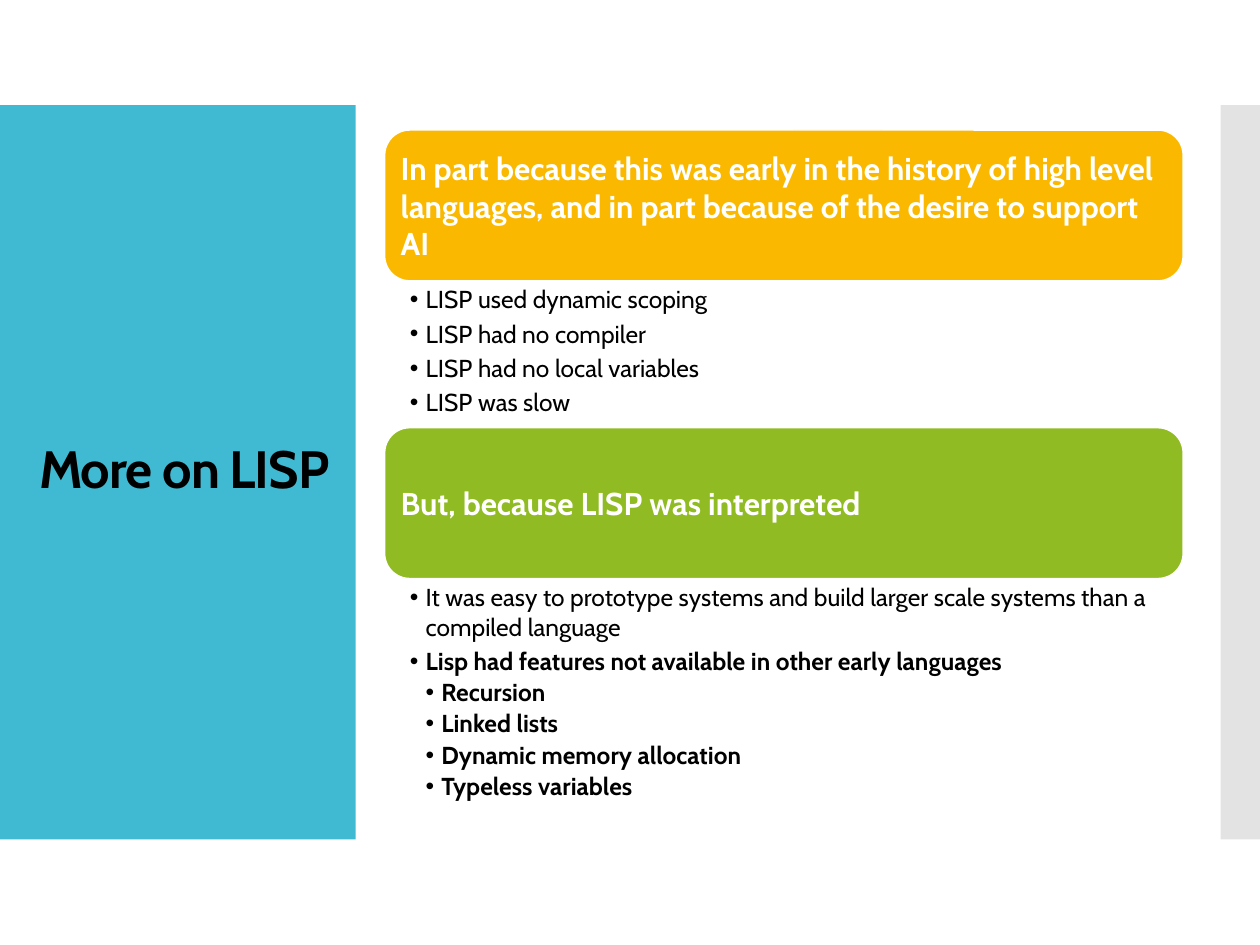
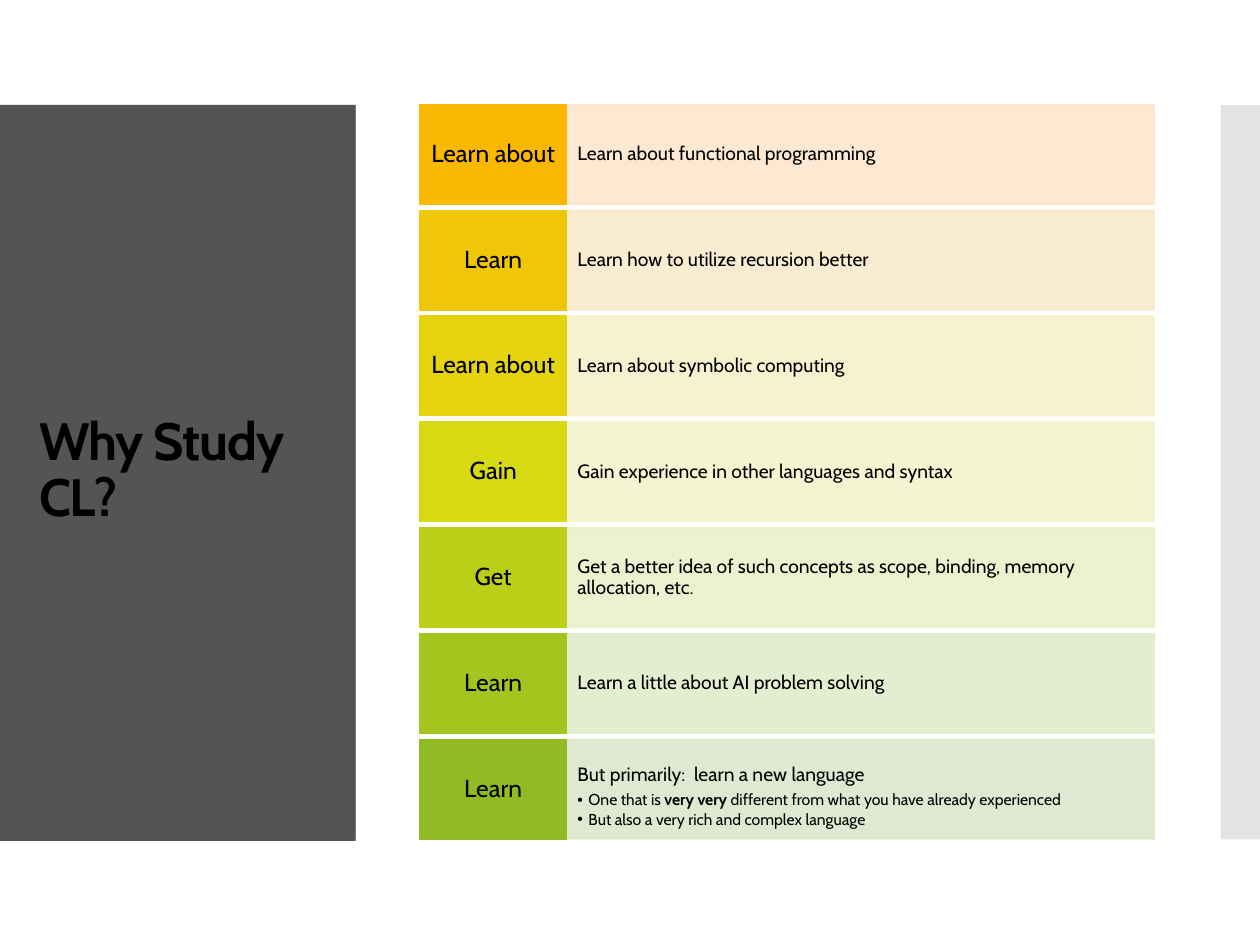
from dataclasses import dataclass

from lxml.etree import SubElement
from pptx import Presentation
from pptx.dml.color import RGBColor as RGB
from pptx.enum.shapes import MSO_SHAPE as Shape
from pptx.enum.text import MSO_ANCHOR as Anchor, MSO_AUTO_SIZE as AutoSize, PP_ALIGN as Align
from pptx.oxml.ns import qn
from pptx.util import Pt


@dataclass(frozen=True)
class Theme:
    font: str = "Cabin"
    text: str = "000000"
    light: str = "FFFFFF"
    accent: str = "40BAD2"
    side: str = "C8C8C8"
    panel: str = "545454"
    amber: str = "FAB900"
    green: str = "90BB23"
    title_size: float = 30
    heading_size: float = 18
    list_size: float = 14
    row_size: float = 11
    detail_size: float = 9
    edge: float = 0.85


T = Theme()


def add_box(s, kind, box, fill, line=None, alpha=None):
    """Add a filled shape; alpha is its opacity in percent."""
    sp = s.shapes.add_shape(kind, *map(Pt, box))
    sp.shadow.inherit = False
    sp.fill.solid()
    sp.fill.fore_color.rgb = RGB.from_string(fill)
    if line:
        sp.line.color.rgb = RGB.from_string(line)
        sp.line.width = Pt(T.edge)
    else:
        sp.line.fill.background()
    if alpha:
        for color in sp.element.iter(qn("a:srgbClr")):
            SubElement(color, qn("a:alpha"), val=str(alpha * 1000))
    return sp


def format_text(p, size, color=T.text, bold=False, after=0, spacing=1.0,
                align=Align.LEFT, indent=None, hang=0):
    """Format a paragraph and its runs; an indent also gives it a bullet."""
    p.alignment = align
    p.line_spacing = spacing
    p.space_before = Pt(0)
    p.space_after = Pt(after)
    if indent is not None:
        pPr = p._p.get_or_add_pPr()
        pPr.set("marL", str(Pt(indent)))
        pPr.set("indent", str(Pt(-hang)))
        SubElement(pPr, qn("a:buFont"), typeface="Arial")
        SubElement(pPr, qn("a:buChar"), char="•")
    for r in p.runs:
        r.font.name = T.font
        r.font.size = Pt(size)
        r.font.bold = bold
        r.font.color.rgb = RGB.from_string(color)


prs = Presentation()
prs.slide_width, prs.slide_height = Pt(720), Pt(540)
lisp = prs.slides.add_slide(prs.slide_layouts[3])
study = prs.slides.add_slide(prs.slide_layouts[5])

# Bands shared through the slide master
title_band = add_box(lisp, Shape.RECTANGLE, (0, 60, 203.3, 419.6), T.accent)
side_band = add_box(lisp, Shape.RECTANGLE, (697.5, 60, 22.5, 419.6), T.side, alpha=50)
for band in (side_band, title_band):
    prs.slide_master.shapes.element.insert(2, band.element)

# Titles
for s, title, width in ((lisp, "More on LISP", 195.1), (study, "Why Study CL?", 174.2)):
    sp = s.shapes.title
    sp.left, sp.top, sp.width, sp.height = map(Pt, (15.1, 88.6, width, 361.8))
    tf = sp.text_frame
    tf.text = title
    tf.word_wrap = True
    tf.auto_size = AutoSize.NONE
    tf.vertical_anchor = Anchor.MIDDLE
    p = tf.paragraphs[0]
    format_text(p, T.title_size, bold=True, spacing=0.9)
    p.runs[0].font._element.set("spc", "-60")

# Slide 1: heading bars, each followed by a list of (level, bold, text)
sections = [
    (T.amber, 74.3, 83.5,
     "In part because this was early in the history of high level languages, "
     "and in part because of the desire to support AI",
     [(0, False, "LISP used dynamic scoping"),
      (0, False, "LISP had no compiler"),
      (0, False, "LISP had no local variables"),
      (0, False, "LISP was slow")]),
    (T.green, 244.4, 134.6,
     "But, because LISP was interpreted",
     [(0, False, "It was easy to prototype systems and build larger scale systems "
                 "than a compiled language"),
      (0, True, "Lisp had features not available in other early languages"),
      (1, True, "Recursion"),
      (1, True, "Linked lists"),
      (1, True, "Dynamic memory allocation"),
      (1, True, "Typeless variables")]),
]
bar_left, bar_width, bar_height = 219.8, 456.3, 86.2
bodies = list(lisp.placeholders)[1:]
for body, (color, top, list_height, heading, items) in zip(bodies, sections):
    bar = add_box(lisp, Shape.ROUNDED_RECTANGLE, (bar_left, top, bar_width, bar_height),
                  color, T.light)
    tf = bar.text_frame
    tf.text = heading
    tf.word_wrap = True
    tf.vertical_anchor = Anchor.MIDDLE
    tf.margin_left = tf.margin_right = tf.margin_top = tf.margin_bottom = Pt(5)
    format_text(tf.paragraphs[0], T.heading_size, T.light, bold=True, after=6.3)

    body.left, body.top = Pt(bar_left), Pt(top + bar_height)
    body.width, body.height = Pt(bar_width), Pt(list_height)
    tf = body.text_frame
    tf.text = "\n".join(text for _, _, text in items)
    tf.word_wrap = True
    tf.auto_size = AutoSize.NONE
    tf.vertical_anchor = Anchor.TOP
    tf.margin_left, tf.margin_right = Pt(14.4), Pt(10)
    tf.margin_top = tf.margin_bottom = Pt(2)
    for p, (level, bold, _) in zip(tf.paragraphs, items):
        p.level = level
        format_text(p, T.list_size, bold=bold, after=2.8, spacing=0.9 if level else 1.0,
                    indent=9 * (level + 1), hang=9)

# Slide 2: grey panel behind the title, then rows of label and reason
panel = add_box(study, Shape.RECTANGLE, (0, 60, 203.3, 420.5), T.panel)
study.shapes.element.insert(2, panel.element)

rows = [
    ("Learn about", "Learn about functional programming", T.amber, "FDE6CC"),
    ("Learn", "Learn how to utilize recursion better", "EFC706", "FAEBCC"),
    ("Learn about", "Learn about symbolic computing", "E4D30D", "F7F0CB"),
    ("Gain", "Gain experience in other languages and syntax", "D7D913", "F4F3CB"),
    ("Get", "Get a better idea of such concepts as scope, binding, memory allocation, etc.",
     "BCCF18", "EBF0CB"),
    ("Learn", "Learn a little about AI problem solving", "A5C51E", "E3ECCC"),
    ("Learn", "But primarily:  learn a new language", T.green, "DCE7CD"),
]
row_top, row_pitch, row_height = 59.8, 60.45, 56.9
label_left, label_width, reason_width = 239.8, 84, 335.8
for i, (label, reason, strong, pale) in enumerate(rows):
    top = row_top + i * row_pitch
    reason_box = add_box(study, Shape.RECTANGLE,
                         (label_left + label_width, top, reason_width, row_height),
                         pale, pale, alpha=90)
    label_box = add_box(study, Shape.RECTANGLE, (label_left, top, label_width, row_height),
                        strong, strong)
    for sp, text, size, align, side, end in (
            (reason_box, reason, T.row_size, Align.LEFT, 6.2, 14.4),
            (label_box, label, T.list_size, Align.CENTER, 4.4, 5.6)):
        tf = sp.text_frame
        tf.text = text
        tf.word_wrap = True
        tf.vertical_anchor = Anchor.MIDDLE
        tf.margin_left = tf.margin_right = Pt(side)
        tf.margin_top = tf.margin_bottom = Pt(end)
        format_text(tf.paragraphs[0], size, after=0.35 * size, spacing=0.9, align=align)

# Details under the last reason; every second piece is bold
tf = reason_box.text_frame
tf.vertical_anchor = Anchor.TOP
for pieces in (("One that is ", "very very", " different from what you have already experienced"),
               ("But also a very rich and complex language",)):
    p = tf.add_paragraph()
    p.level = 1
    for piece in pieces:
        p.add_run().text = piece
    format_text(p, T.detail_size, after=1.35, spacing=0.9, indent=6.3, hang=6.3)
    for r in p.runs[1::2]:
        r.font.bold = True

prs.save("out.pptx")
